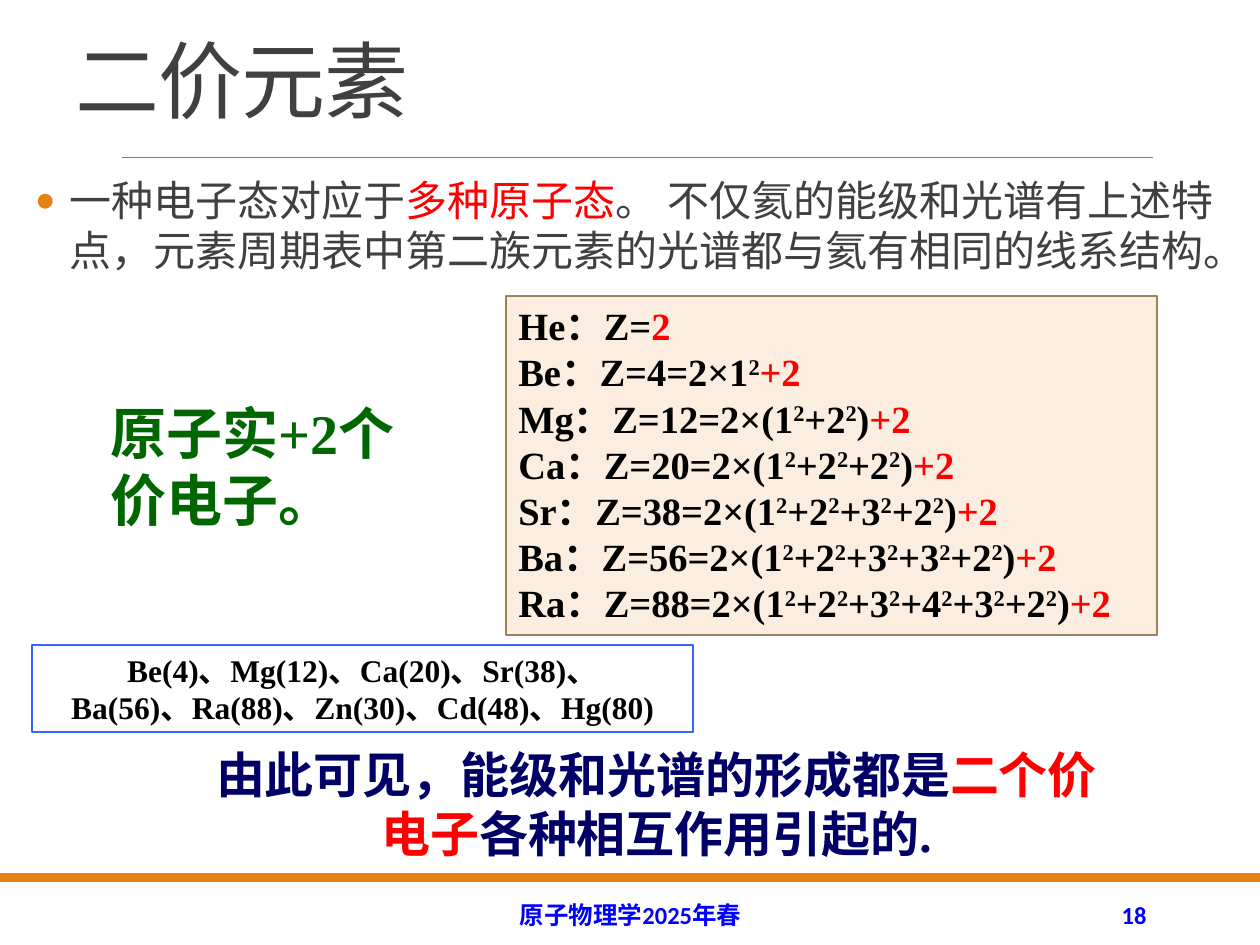
from dataclasses import dataclass

from lxml.etree import SubElement
from pptx import Presentation
from pptx.dml.color import RGBColor
from pptx.enum.shapes import MSO_CONNECTOR as Conn, MSO_SHAPE as Kind
from pptx.enum.text import MSO_ANCHOR as Anchor, MSO_AUTO_SIZE as Fit, PP_ALIGN as Align
from pptx.oxml.ns import qn
from pptx.util import Emu, Pt

ORANGE = RGBColor(0xE4, 0x83, 0x12)
GRAY = RGBColor(0x80, 0x80, 0x80)
DARK = RGBColor(0x40, 0x40, 0x40)
RED = RGBColor(0xFF, 0x00, 0x00)
BLUE = RGBColor(0x00, 0x00, 0xFF)
SKY = RGBColor(0x33, 0x66, 0xFF)
NAVY = RGBColor(0x00, 0x00, 0x66)
GREEN = RGBColor(0x00, 0x66, 0x00)
BROWN = RGBColor(0x9B, 0x83, 0x57)
BLACK = RGBColor(0x00, 0x00, 0x00)

LATIN, SERIF, HAN = "Calibri", "Times New Roman", "Noto Sans CJK SC"


@dataclass
class Box:
    x: int
    y: int
    w: int
    h: int


@dataclass
class Atom:
    name: str
    z: int
    shells: tuple[int, ...] = ()


ATOMS = [
    Atom("He", 2),
    Atom("Be", 4, (1,)),
    Atom("Mg", 12, (1, 2)),
    Atom("Ca", 20, (1, 2, 2)),
    Atom("Sr", 38, (1, 2, 3, 2)),
    Atom("Ba", 56, (1, 2, 3, 3, 2)),
    Atom("Ra", 88, (1, 2, 3, 4, 3, 2)),
]


def px(n: int) -> Emu:
    return Emu(round(n * 914400 / 126))


def place(box: Box) -> tuple[Emu, ...]:
    return px(box.x), px(box.y), px(box.w), px(box.h)


def rect(slide, box: Box, fill=None, alpha=None, line=None, width=1.0):
    shape = slide.shapes.add_shape(Kind.RECTANGLE, *place(box))
    shape.shadow.inherit = False
    if fill is None:
        shape.fill.background()
    else:
        shape.fill.solid()
        shape.fill.fore_color.rgb = fill
        if alpha is not None:
            tone = next(shape._element.spPr.iter(qn("a:srgbClr")))
            SubElement(tone, qn("a:alpha")).set("val", str(alpha * 1000))
    if line is None:
        shape.line.fill.background()
    else:
        shape.line.color.rgb = line
        shape.line.width = Pt(width)
    return shape


def bullet(par, color: RGBColor) -> None:
    props = par._p.get_or_add_pPr()
    props.set("marL", str(px(38)))
    props.set("indent", str(-px(35)))
    tint = SubElement(props, qn("a:buClr"))
    SubElement(tint, qn("a:srgbClr")).set("val", str(color))
    SubElement(props, qn("a:buFont")).set("typeface", LATIN)
    SubElement(props, qn("a:buChar")).set("char", "•")


def write(shape, pars, *, size, font=SERIF, bold=False, align=Align.LEFT,
          anchor=Anchor.TOP, wrap=True, grow=False, space=None, track=None,
          side=None, mark=None) -> None:
    """Each paragraph is a list of (text, color); ^ turns superscript on and off."""
    frame = shape.text_frame
    frame.word_wrap = wrap
    frame.auto_size = Fit.SHAPE_TO_FIT_TEXT if grow else Fit.NONE
    frame.vertical_anchor = anchor
    if side is not None:
        frame.margin_left = frame.margin_right = px(side)
    for i, parts in enumerate(pars):
        par = frame.add_paragraph() if i else frame.paragraphs[0]
        par.alignment = align
        if space:
            par.line_spacing = space
        if mark is not None:
            bullet(par, mark)
        for text, color in parts:
            for j, piece in enumerate(text.split("^")):
                if not piece:
                    continue
                run = par.add_run()
                run.text = piece
                run.font.name = font
                run.font.size = Pt(size)
                run.font.bold = bold
                run.font.color.rgb = color
                props = run._r.get_or_add_rPr()
                SubElement(props, qn("a:ea")).set("typeface", HAN)
                if j % 2:
                    props.set("baseline", "30000")
                if track:
                    props.set("spc", str(track))


def label(slide, box: Box, pars, **form) -> None:
    write(slide.shapes.add_textbox(*place(box)), pars, **form)


def formula(atom: Atom) -> list[tuple[str, RGBColor]]:
    head = f"{atom.name}：Z="
    if not atom.shells:
        return [(head, BLACK), (str(atom.z), RED)]
    total = "+".join(f"{n}^2^" for n in atom.shells)
    if len(atom.shells) > 1:
        total = f"({total})"
    return [(f"{head}{atom.z}=2×{total}", BLACK), ("+2", RED)]


def main() -> None:
    deck = Presentation()
    deck.slide_width, deck.slide_height = px(1260), px(945)
    slide = deck.slides.add_slide(deck.slide_layouts[6])

    # Footer bar and title rule
    rect(slide, Box(0, 873, 1260, 9), fill=ORANGE)
    rule = slide.shapes.add_connector(Conn.STRAIGHT, px(122), px(157), px(1153), px(157))
    rule.line.color.rgb = GRAY
    rule.line.width = Pt(0.5)
    SubElement(rule._element.spPr, qn("a:effectLst"))

    # Title and main point
    label(slide, Box(63, 8, 1144, 128), [[("二价元素", DARK)]], size=48, font=LATIN,
          anchor=Anchor.BOTTOM, space=0.85, track=-50)
    label(slide, Box(32, 168, 1197, 125), [[
        ("一种电子态对应于", DARK), ("多种原子态", RED),
        ("。 不仅氦的能级和光谱有上述特点，元素周期表中第二族元素"
         "的光谱都与氦有相同的线系结构。", DARK),
    ]], size=24, font=LATIN, side=0, mark=ORANGE)

    # Core and valence electrons
    label(slide, Box(98, 392, 329, 149), [[("原子实+2个价电子。", GREEN)]],
          size=32, bold=True, grow=True)
    panel = rect(slide, Box(506, 296, 651, 339), fill=ORANGE, alpha=13, line=BROWN)
    write(panel, [formula(atom) for atom in ATOMS], size=22, bold=True,
          align=Align.JUSTIFY, grow=True)

    # Element list
    group = rect(slide, Box(32, 645, 661, 87), line=SKY, width=0.75)
    write(group, [[("Be(4)、Mg(12)、Ca(20)、Sr(38)、", BLACK)],
                  [("Ba(56)、Ra(88)、Zn(30)、Cd(48)、Hg(80)", BLACK)]],
          size=18, bold=True, align=Align.CENTER, anchor=Anchor.MIDDLE, wrap=False)

    # Conclusion
    label(slide, Box(189, 738, 935, 131), [[
        ("由此可见，能级和光谱的形成都是", NAVY), ("二个价电子", RED),
        ("各种相互作用引起的.", NAVY),
    ]], size=28, bold=True, align=Align.CENTER, grow=True)

    # Footer
    foot = dict(size=14, font=LATIN, bold=True, anchor=Anchor.MIDDLE)
    label(slide, Box(381, 890, 499, 50), [[("原子物理学2025年春", BLUE)]],
          align=Align.CENTER, **foot)
    label(slide, Box(1023, 890, 136, 50), [[("18", BLUE)]], align=Align.RIGHT, **foot)

    deck.save("out.pptx")


if __name__ == "__main__":
    main()
